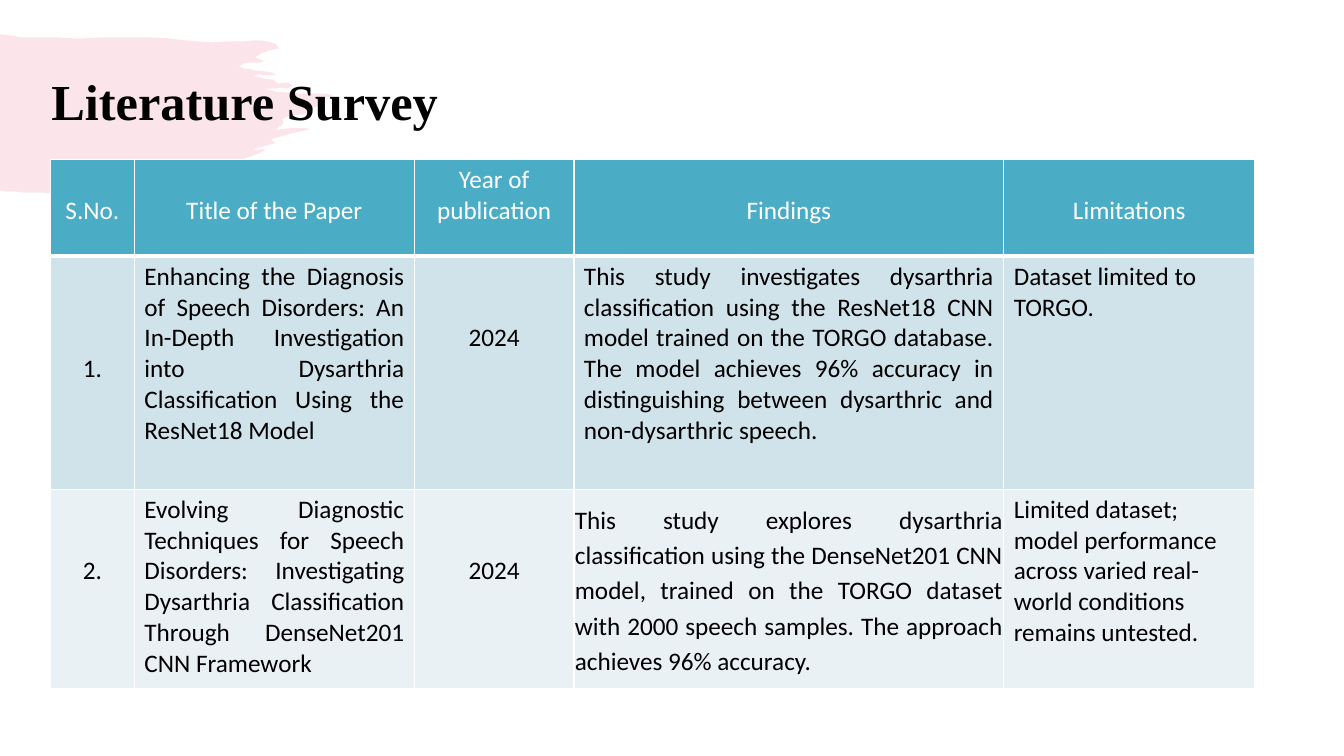
from lxml.etree import SubElement
from pptx import Presentation
from pptx.dml.color import RGBColor
from pptx.enum.text import MSO_ANCHOR, PP_ALIGN
from pptx.oxml.ns import qn
from pptx.util import Pt

COLORS = {"ink": "000000", "white": "FFFFFF", "header": "4BACC6",
          "odd": "D0E3EA", "even": "E9F1F5", "brush": "EF7B97"}
LINE = 22  # height of one line of table text

# Outline of the brush stroke, in hundredths of an inch.
BRUSH_UNIT = 0.72
BRUSH_STROKE = [
    (0, 34), (0, 189), (7, 190), (15, 190), (23, 191), (44, 191), (49, 192), (70, 192),
    (81, 191), (91, 190), (102, 188), (114, 187), (131, 184), (151, 180), (171, 177),
    (188, 173), (204, 170), (216, 166), (230, 162), (243, 157), (255, 153), (263, 149),
    (260, 148), (254, 149), (251, 148), (262, 145), (273, 142), (269, 138), (280, 135),
    (291, 132), (308, 128), (302, 127), (291, 127), (279, 128), (274, 129), (276, 126),
    (280, 124), (281, 122), (280, 118), (287, 115), (295, 114), (306, 113), (309, 108),
    (312, 106), (321, 105), (322, 101), (321, 97), (323, 96), (328, 96), (330, 94),
    (324, 93), (302, 93), (290, 92), (274, 91), (263, 88), (273, 88), (278, 87),
    (285, 88), (290, 85), (286, 82), (282, 82), (276, 83), (271, 79), (263, 78),
    (251, 75), (257, 74), (268, 75), (274, 74), (270, 72), (258, 70), (253, 70),
    (246, 68), (242, 68), (237, 66), (242, 63), (247, 62), (257, 62), (262, 61),
    (259, 59), (253, 57), (259, 53), (267, 50), (277, 48), (274, 44), (269, 42),
    (259, 40), (253, 40), (242, 41), (226, 41), (210, 42), (194, 41), (183, 40),
    (167, 38), (145, 37), (102, 37), (84, 38), (72, 38), (55, 37), (20, 37), (16, 36),
]


def write_text(frame, text, font="Calibri", size=18, color="ink", bold=False,
               align=PP_ALIGN.LEFT, margins=(7.2, 3.6, 7.2, 3.6),
               anchor=MSO_ANCHOR.TOP, line_spacing=None, space_after=0):
    """Fill a text box or a table cell; margins are left, top, right, bottom."""
    frame.margin_left, frame.margin_top, frame.margin_right, frame.margin_bottom = map(Pt, margins)
    frame.vertical_anchor = anchor
    text_frame = getattr(frame, "text_frame", frame)
    text_frame.word_wrap = True
    paragraph = text_frame.paragraphs[0]
    paragraph.alignment = align
    paragraph.line_spacing = line_spacing
    paragraph.space_after = Pt(space_after)
    run = paragraph.add_run()
    run.text = text
    run.font.name, run.font.size, run.font.bold = font, Pt(size), bold
    run.font.color.rgb = RGBColor.from_string(COLORS[color])


def centered(lines_above):
    """Format of a centred cell whose text starts some lines down."""
    return {"align": PP_ALIGN.CENTER, "margins": (7.2, 3.6 + lines_above * LINE, 7.2, 3.6)}


JUSTIFIED = {"align": PP_ALIGN.JUSTIFY}
SPACED = {"align": PP_ALIGN.JUSTIFY, "margins": (0.7,) * 4, "anchor": MSO_ANCHOR.MIDDLE,
          "line_spacing": 1.15, "space_after": 8}
COLUMN_WIDTHS = [60, 200, 114, 307, 179.5]
ROW_HEIGHTS = [69, 166.5, 142.5]
ROW_FILLS = ["header", "odd", "even"]
SURVEY = [
    [("S.No.", centered(1)), ("Title of the Paper", centered(1)),
     ("Year of publication", centered(0)), ("Findings", centered(1)),
     ("Limitations", centered(1))],
    [("1.", centered(3)),
     ("Enhancing the Diagnosis of Speech Disorders: An In-Depth Investigation into "
      "Dysarthria Classification Using the ResNet18 Model", JUSTIFIED),
     ("2024", centered(2)),
     ("This study investigates dysarthria classification using the ResNet18 CNN model "
      "trained on the TORGO database. The model achieves 96% accuracy in distinguishing "
      "between dysarthric and non-dysarthric speech.", JUSTIFIED),
     ("Dataset limited to TORGO.", {})],
    [("2.", centered(2)),
     ("Evolving Diagnostic Techniques for Speech Disorders: Investigating Dysarthria "
      "Classification Through DenseNet201 CNN Framework", JUSTIFIED),
     ("2024", centered(2)),
     ("This study explores dysarthria classification using the DenseNet201 CNN model, "
      "trained on the TORGO dataset with 2000 speech samples. The approach achieves 96% "
      "accuracy.", SPACED),
     ("Limited dataset; model performance across varied real-world conditions remains "
      "untested.", {})],
]


class SlideBuilder:
    def __init__(self, slide, colors):
        self.slide = slide
        self.colors = colors

    def brush(self, points, unit, color, opacity):
        builder = self.slide.shapes.build_freeform(*points[0], scale=Pt(unit))
        builder.add_line_segments(points[1:], close=True)
        shape = builder.convert_to_shape()
        shape.shadow.inherit = False
        shape.line.fill.background()
        shape.fill.solid()
        shape.fill.fore_color.rgb = RGBColor.from_string(self.colors[color])
        color_element = shape.fill._xPr.find(qn("a:solidFill"))[0]
        SubElement(color_element, qn("a:alpha"), val=str(opacity * 1000))

    def text(self, left, top, width, height, text, **text_format):
        box = self.slide.shapes.add_textbox(Pt(left), Pt(top), Pt(width), Pt(height))
        write_text(box.text_frame, text, **text_format)

    def borders(self, cell, color, bottom_width):
        properties = cell._tc.get_or_add_tcPr()
        widths = {"lnL": 1, "lnR": 1, "lnT": 1, "lnB": bottom_width}
        for position, (side, width) in enumerate(widths.items()):
            line = SubElement(properties, qn(f"a:{side}"), w=str(Pt(width)))
            fill = SubElement(line, qn("a:solidFill"))
            SubElement(fill, qn("a:srgbClr"), val=self.colors[color])
            properties.insert(position, line)

    def table(self, left, top, widths, heights, rows, fills):
        frame = self.slide.shapes.add_table(len(heights), len(widths), Pt(left), Pt(top),
                                            Pt(sum(widths)), Pt(sum(heights)))
        table = frame.table
        for column, width in zip(table.columns, widths):
            column.width = Pt(width)
        for index, (row, height, contents, fill) in enumerate(
                zip(table.rows, heights, rows, fills)):
            row.height = Pt(height)
            is_header = index == 0
            for cell, (text, text_format) in zip(row.cells, contents):
                write_text(cell, text, color="white" if is_header else "ink", **text_format)
                cell.fill.solid()
                cell.fill.fore_color.rgb = RGBColor.from_string(self.colors[fill])
                self.borders(cell, "white", 3 if is_header else 1)


def main():
    presentation = Presentation()
    presentation.slide_width, presentation.slide_height = Pt(960), Pt(540)
    builder = SlideBuilder(presentation.slides.add_slide(presentation.slide_layouts[6]), COLORS)
    builder.brush(BRUSH_STROKE, BRUSH_UNIT, "brush", 20)
    builder.text(36, 47.5, 306, 44.5, "Literature Survey", font="Times New Roman",
                 size=36, bold=True, margins=(0.7, 2.5, 0, 0))
    builder.table(36, 114, COLUMN_WIDTHS, ROW_HEIGHTS, SURVEY, ROW_FILLS)
    presentation.save("out.pptx")


if __name__ == "__main__":
    main()
